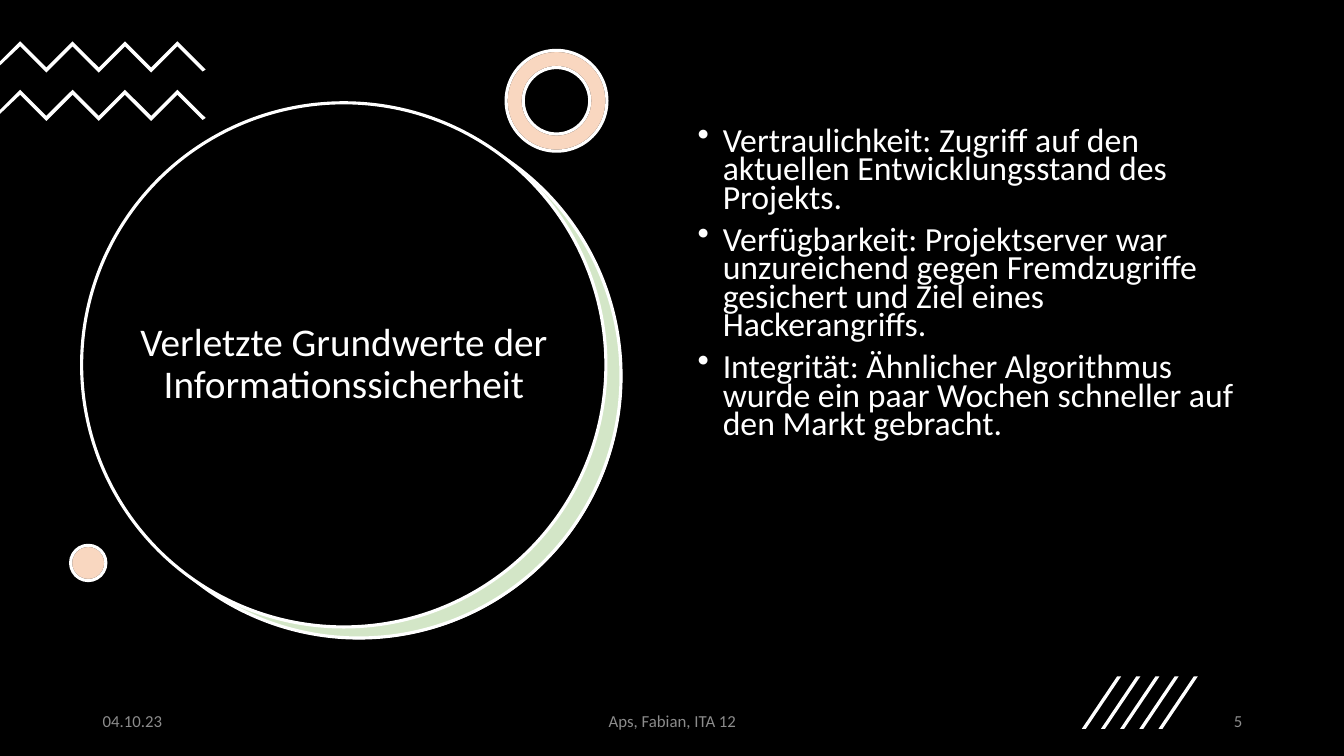
from lxml.etree import SubElement
from pptx import Presentation
from pptx.dml.color import RGBColor
from pptx.enum.shapes import MSO_SHAPE
from pptx.enum.text import MSO_ANCHOR, PP_ALIGN
from pptx.oxml.ns import qn
from pptx.util import Inches, Pt

BLACK = RGBColor(0x00, 0x00, 0x00)
WHITE = RGBColor(0xFF, 0xFF, 0xFF)
GREEN = RGBColor(0x70, 0xAD, 0x47)
ORANGE = RGBColor(0xED, 0x7D, 0x31)
GREY = RGBColor(0x8C, 0x8C, 0x8C)


class SlideBuilder:
    font = "Calibri"
    outline = Pt(2.25)

    def __init__(self, page):
        self.page = page
        page.background.fill.solid()
        page.background.fill.fore_color.rgb = BLACK

    def paint(self, shape, fill, line=None, opacity=100):
        shape.shadow.inherit = False
        shape.fill.solid()
        shape.fill.fore_color.rgb = fill
        if opacity < 100:
            color = shape.fill._xPr.find(qn("a:solidFill"))[0]
            SubElement(color, qn("a:alpha"), val=str(opacity * 1000))
        if line is None:
            shape.line.fill.background()
        else:
            shape.line.color.rgb = line
            shape.line.width = self.outline

    def round_shape(self, kind, left, top, size, fill, line=None, opacity=100):
        shape = self.page.shapes.add_shape(
            kind, Inches(left), Inches(top), Inches(size), Inches(size))
        if kind == MSO_SHAPE.DONUT:
            shape.adjustments[0] = 0.17
        self.paint(shape, fill, line, opacity)

    def tinted(self, kind, left, top, size, tint):
        self.round_shape(kind, left, top, size, WHITE, BLACK)
        self.round_shape(kind, left, top, size, tint, WHITE, 30)

    def outline_shape(self, points):
        corners = [(Inches(x), Inches(y)) for x, y in points]
        builder = self.page.shapes.build_freeform(*corners[0])
        builder.add_line_segments(corners[1:], close=True)
        self.paint(builder.convert_to_shape(), WHITE)

    def text(self, lines, left, top, width, height, size, color=WHITE,
             align=PP_ALIGN.LEFT, anchor=MSO_ANCHOR.MIDDLE, spacing=1.0, bullets=False):
        box = self.page.shapes.add_textbox(
            Inches(left), Inches(top), Inches(width), Inches(height))
        frame = box.text_frame
        frame.word_wrap = True
        frame.vertical_anchor = anchor
        frame.text = "\n".join(lines)
        for para in frame.paragraphs:
            para.alignment = align
            para.line_spacing = spacing
            para.font.name = self.font
            para.font.size = Pt(size)
            para.font.color.rgb = color
            if bullets:
                self.bullet(para)

    def bullet(self, para):
        para.space_before = Pt(10)
        properties = para._p.get_or_add_pPr()
        properties.set("marL", str(Inches(0.25)))
        properties.set("indent", str(-Inches(0.25)))
        mark = properties.makeelement(qn("a:buChar"), {"char": "•"})
        properties.find(qn("a:spcBef")).addnext(mark)

    def zigzag(self, top):
        upper = [(0.2 + 0.26 * i, top + 0.26 * (i % 2)) for i in range(7)]
        lower = [(x, y + 0.05) for x, y in reversed(upper)]
        right_end = [(2.04, top + 0.28), (2.01, top + 0.3)]
        left_end = [(0, top + 0.24), (0, top + 0.2)]
        self.outline_shape(upper + right_end + lower + left_end)

    def slash(self, left):
        top, bottom = 6.71, 7.23
        self.outline_shape([(left + 0.04, bottom), (left, bottom),
                            (left + 0.35, top), (left + 0.39, top)])


deck = Presentation()
deck.slide_width = Inches(13.33)
deck.slide_height = Inches(7.5)
slide = SlideBuilder(deck.slides.add_slide(deck.slide_layouts[6]))

slide.round_shape(MSO_SHAPE.OVAL, 0.97, 1.14, 5.2, WHITE)
slide.round_shape(MSO_SHAPE.OVAL, 0.96, 1.13, 5.2, GREEN, WHITE, 30)
slide.round_shape(MSO_SHAPE.OVAL, 0.81, 1.02, 5.2, BLACK, WHITE)
slide.text(["Verletzte Grundwerte der Informationssicherheit"],
           0.8, 1.02, 5.22, 5.2, 28, align=PP_ALIGN.CENTER, spacing=0.9)

for zigzag_top in (0.41, 0.89):
    slide.zigzag(zigzag_top)
slide.tinted(MSO_SHAPE.DONUT, 5.02, 0.5, 1, ORANGE)
slide.tinted(MSO_SHAPE.OVAL, 0.7, 5.41, 0.35, ORANGE)

slide.text([
    "Vertraulichkeit: Zugriff auf den aktuellen Entwicklungsstand des Projekts.",
    "Verfügbarkeit: Projektserver war unzureichend gegen Fremdzugriffe "
    "gesichert und Ziel eines Hackerangriffs.",
    "Integrität: Ähnlicher Algorithmus wurde ein paar Wochen schneller "
    "auf den Markt gebracht.",
], 6.82, 1.24, 5.71, 4.76, 24.1, anchor=MSO_ANCHOR.TOP, spacing=0.7, bullets=True)

for i in range(5):
    slide.slash(10.73 + 0.19 * i)

for label, label_left, label_width, label_align in (
    ("04.10.23", 0.92, 3, PP_ALIGN.LEFT),
    ("Aps, Fabian, ITA 12", 4.42, 4.5, PP_ALIGN.CENTER),
    ("5", 9.42, 3, PP_ALIGN.RIGHT),
):
    slide.text([label], label_left, 6.95, label_width, 0.4, 12, GREY, label_align)

deck.save("out.pptx")
